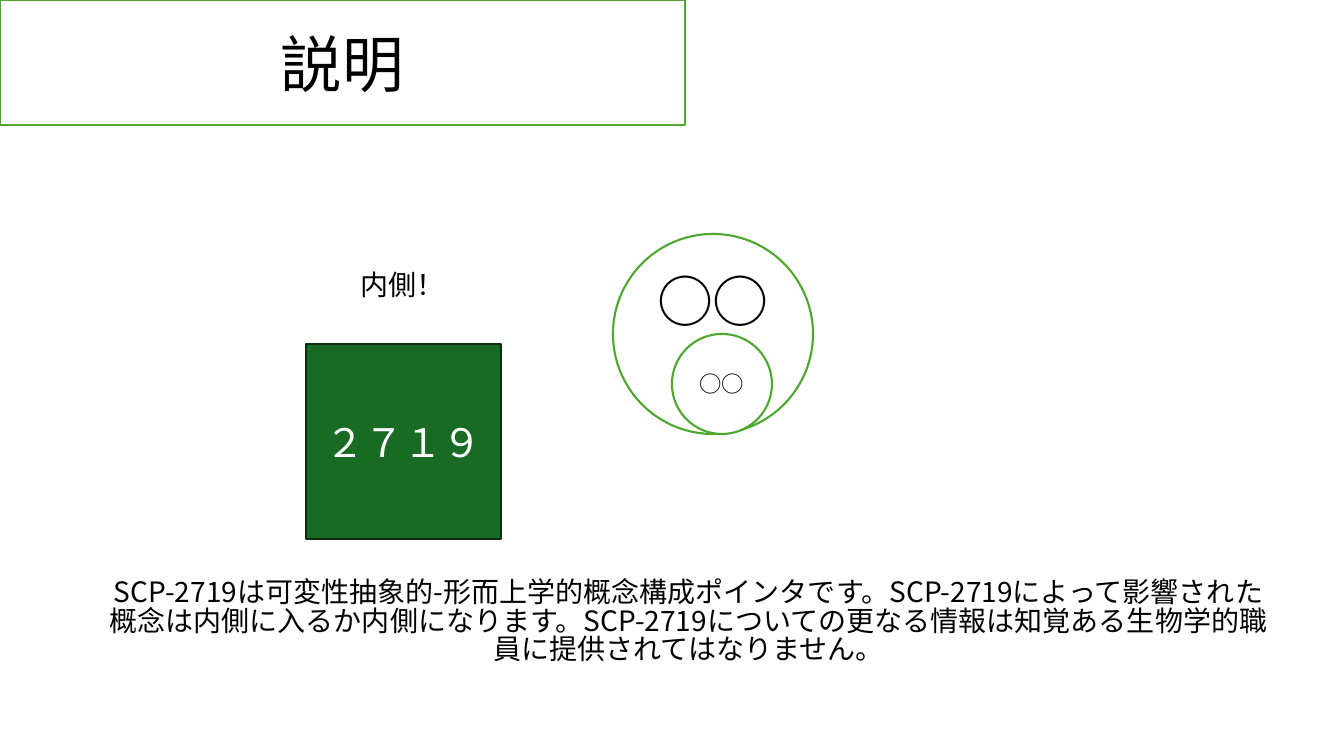
from pptx import Presentation
from pptx.dml.color import RGBColor
from pptx.enum.shapes import MSO_SHAPE
from pptx.enum.text import MSO_ANCHOR, MSO_AUTO_SIZE, PP_ALIGN
from pptx.oxml.ns import qn
from pptx.util import Pt

RECTANGLE, OVAL = MSO_SHAPE.RECTANGLE, MSO_SHAPE.OVAL
MIDDLE, CENTER = MSO_ANCHOR.MIDDLE, PP_ALIGN.CENTER
NO_AUTOFIT = MSO_AUTO_SIZE.NONE

FONT = "Noto Sans CJK JP"
BLACK = RGBColor(0x00, 0x00, 0x00)
WHITE = RGBColor(0xFF, 0xFF, 0xFF)
GREEN = RGBColor(0x4E, 0xA7, 0x2E)
DARK_GREEN = RGBColor(0x19, 0x6B, 0x24)
DEEP_GREEN = RGBColor(0x0B, 0x2F, 0x10)

PX_PER_INCH = 100.8
DESCRIPTION = (
    "SCP-2719は可変性抽象的-形而上学的概念構成ポインタです。"
    "SCP-2719によって影響された概念は内側に入るか内側になります。"
    "SCP-2719についての更なる情報は知覚ある生物学的職員に提供されてはなりません。"
)


def px(length):
    return round(length * 914400 / PX_PER_INCH)


def write(shape, text, size, color=BLACK, line_spacing=1.0, lift=0):
    """Centre text in a shape; lift is extra bottom inset in px."""
    frame = shape.text_frame
    frame.word_wrap = True
    frame.auto_size = NO_AUTOFIT
    frame.vertical_anchor = MIDDLE
    frame.margin_bottom = px(5 + lift)
    paragraph = frame.paragraphs[0]
    paragraph.alignment = CENTER
    paragraph.space_before = Pt(0)
    paragraph.line_spacing = line_spacing
    run = paragraph.add_run()
    run.text = text
    run.font.size = Pt(size)
    run.font.color.rgb = color
    run.font.name = FONT
    east_asian = run.font._element.makeelement(qn("a:ea"), {"typeface": FONT})
    run.font._element.find(qn("a:latin")).addnext(east_asian)


def paint(shape, fill, line):
    shape.fill.solid()
    shape.fill.fore_color.rgb = fill
    shape.line.color.rgb = line
    shape.line.width = Pt(1.5)


def place(placeholder, left, top, width, height):
    placeholder.left, placeholder.top = px(left), px(top)
    placeholder.width, placeholder.height = px(width), px(height)


def add_figure(slide, kind, left, top, side, fill=WHITE, line=GREEN):
    """Add a square or a circle."""
    figure = slide.shapes.add_shape(kind, px(left), px(top), px(side), px(side))
    figure.shadow.inherit = False
    paint(figure, fill, line)
    return figure


def main():
    presentation = Presentation()
    presentation.slide_width = px(1344)
    presentation.slide_height = px(756)
    slide = presentation.slides.add_slide(presentation.slide_layouts[0])

    title = slide.shapes.title
    place(title, 0, 0, 685, 125)
    paint(title, WHITE, GREEN)
    write(title, "説明", 44)

    inside_label = slide.shapes.add_textbox(px(-192), px(134), px(1189), px(301))
    write(inside_label, "内側！", 20)

    box = add_figure(slide, RECTANGLE, 306, 344, 195, DARK_GREEN, DEEP_GREEN)
    write(box, "２７１９", 28, WHITE)

    face = add_figure(slide, OVAL, 613, 234, 200)
    write(face, "○○", 40, lift=67)
    snout = add_figure(slide, OVAL, 672, 334, 100)
    write(snout, "○○", 16)

    description = slide.placeholders[1]
    place(description, 94, 472, 1189, 301)
    write(description, DESCRIPTION, 20, line_spacing=0.85)

    presentation.save("out.pptx")


if __name__ == "__main__":
    main()
